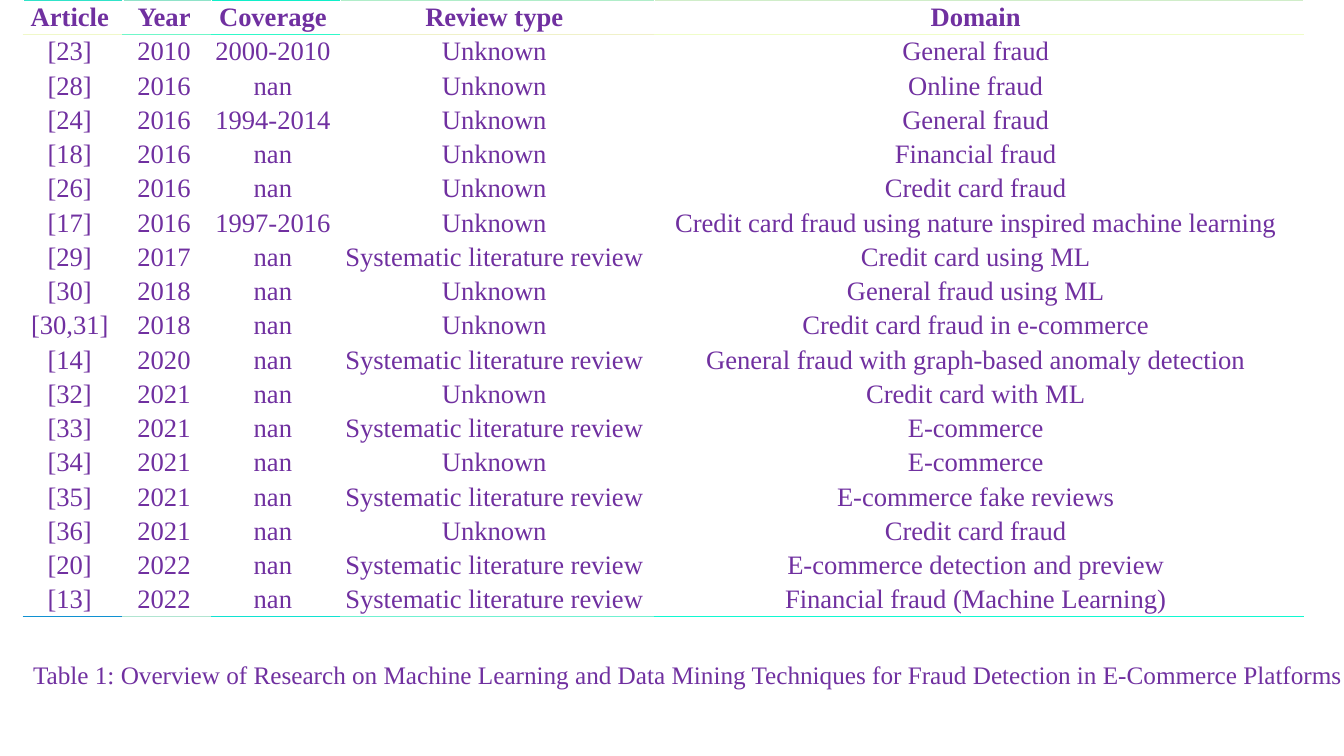
"""Build a slide with a table of fraud detection reviews and its caption."""
from lxml import etree
from pptx import Presentation
from pptx.dml.color import RGBColor
from pptx.enum.text import MSO_ANCHOR, PP_ALIGN
from pptx.oxml.ns import qn
from pptx.util import Inches, Pt

CENTER = PP_ALIGN.CENTER
BOTTOM = MSO_ANCHOR.BOTTOM
PURPLE = RGBColor(0x70, 0x30, 0xA0)
FONT = "Times New Roman"
NBSP = chr(160)

TOP_RULE = [RGBColor(0x30, 0xE3, 0xC9), RGBColor(0x90, 0xE3, 0xC9), RGBColor(0x10, 0xEF, 0xC9),
            RGBColor(0xB0, 0xED, 0xC9), RGBColor(0xD0, 0xED, 0xC9)]
HEADER_RULE = [RGBColor(0xF0, 0xF8, 0xC9), RGBColor(0x70, 0xF7, 0xC9), RGBColor(0x30, 0xF9, 0xC9),
               RGBColor(0xF0, 0xF1, 0xC9), RGBColor(0xF0, 0xFD, 0xC9)]
BOTTOM_RULE = [RGBColor(0x10, 0x91, 0xD1), RGBColor(0xB0, 0xE5, 0xD1), RGBColor(0x10, 0xE3, 0xD1),
               RGBColor(0x70, 0xF1, 0xD1), RGBColor(0x10, 0xF9, 0xD1)]

UNKNOWN = "Unknown"
SYSTEMATIC = "Systematic literature review"
COL_WIDTHS = [0.99, 0.88, 1.28, 3.11, 6.44]
ROW_HEIGHT = 0.34
REVIEWS = [
    ("Article", "Year", "Coverage", "Review type", "Domain"),
    ("[23]", "2010", "2000-2010", UNKNOWN, "General fraud"),
    ("[28]", "2016", "nan", UNKNOWN, "Online fraud"),
    ("[24]", "2016", "1994-2014", UNKNOWN, "General fraud"),
    ("[18]", "2016", "nan", UNKNOWN, "Financial fraud"),
    ("[26]", "2016", "nan", UNKNOWN, "Credit card fraud"),
    ("[17]", "2016", "1997-2016", UNKNOWN,
     "Credit card fraud using nature inspired machine learning"),
    ("[29]", "2017", "nan", SYSTEMATIC, "Credit card using ML"),
    ("[30]", "2018", "nan", UNKNOWN, "General fraud using ML"),
    ("[30,31]", "2018", "nan", UNKNOWN, "Credit card fraud in e-commerce"),
    ("[14]", "2020", "nan", SYSTEMATIC, "General fraud with graph-based anomaly detection"),
    ("[32]", "2021", "nan", UNKNOWN, "Credit card with ML"),
    ("[33]", "2021", "nan", SYSTEMATIC, "E-commerce"),
    ("[34]", "2021", "nan", UNKNOWN, "E-commerce"),
    ("[35]", "2021", "nan", SYSTEMATIC, "E-commerce fake reviews"),
    ("[36]", "2021", "nan", UNKNOWN, "Credit card fraud"),
    ("[20]", "2022", "nan", SYSTEMATIC, "E-commerce detection and preview"),
    ("[13]", "2022", "nan", SYSTEMATIC, "Financial fraud (Machine Learning)"),
]
LAST = len(REVIEWS) - 1
RULES = {0: {"a:lnT": TOP_RULE, "a:lnB": HEADER_RULE},
         1: {"a:lnT": HEADER_RULE},
         LAST: {"a:lnB": BOTTOM_RULE}}


def add_text(p, text, size, bold=False):
    r = p.add_run()
    r.text = text
    r.font.name = FONT
    r.font.size = Pt(size)
    r.font.bold = bold
    r.font.color.rgb = PURPLE


def add_border(cell, side, color):
    ln = etree.SubElement(cell._tc.get_or_add_tcPr(), qn(side), w=str(Pt(0.5)))
    fill = etree.SubElement(ln, qn("a:solidFill"))
    etree.SubElement(fill, qn("a:srgbClr"), val=str(color))


prs = Presentation()
prs.slide_width = Inches(13.33)
prs.slide_height = Inches(7.5)
s = prs.slides.add_slide(prs.slide_layouts[6])

table = s.shapes.add_table(len(REVIEWS), len(COL_WIDTHS), Inches(0.23), Inches(0),
                           Inches(sum(COL_WIDTHS)), Inches(ROW_HEIGHT * len(REVIEWS))).table
table.first_row = False
table.horz_banding = False
for column, width in zip(table.columns, COL_WIDTHS):
    column.width = Inches(width)

for i, review in enumerate(REVIEWS):
    table.rows[i].height = Inches(ROW_HEIGHT)
    for j, text in enumerate(review):
        cell = table.cell(i, j)
        cell.margin_left = cell.margin_right = Inches(0.03)
        cell.margin_top = cell.margin_bottom = Inches(0.02)
        cell.vertical_anchor = BOTTOM
        for side, colors in RULES.get(i, {}).items():
            add_border(cell, side, colors[j])
        cell.fill.background()
        p = cell.text_frame.paragraphs[0]
        p.alignment = CENTER
        add_text(p, text + NBSP, 19, bold=i == 0)

caption = s.shapes.add_textbox(Inches(0.23), Inches(6.49), Inches(13.2), Inches(0.71))
tf = caption.text_frame
tf.word_wrap = True
add_text(tf.paragraphs[0],
         "Table 1: Overview of Research on Machine Learning and Data Mining Techniques "
         "for Fraud Detection in E-Commerce Platforms", 18)

prs.save("out.pptx")
